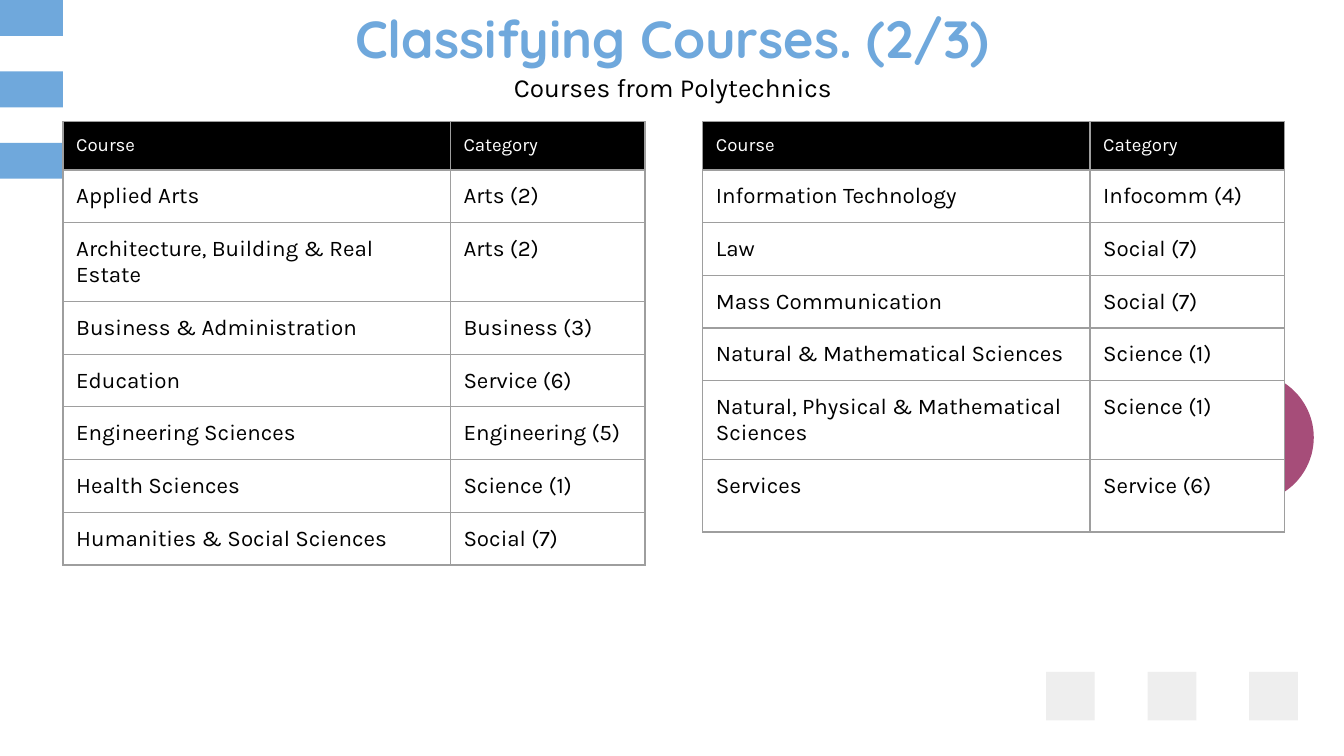
import math
from lxml import etree
from pptx import Presentation
from pptx import util as u
from pptx.dml.color import RGBColor
from pptx.enum import shapes, text
from pptx.oxml import ns

COLORS = {"blue": "6FA8DC", "plum": "A64D79", "gray": "EEEEEE",
          "line": "9E9E9E", "black": "000000", "white": "FFFFFF"}


def write(frame, content, size=12, font="Karla", color="black", bold=False, align=None):
    paragraph = frame.paragraphs[0]
    paragraph.alignment = align
    run = paragraph.add_run()
    run.text = content
    run.font.size = u.Pt(size)
    run.font.name = font
    run.font.bold = bold
    run.font.color.rgb = RGBColor.from_string(COLORS[color])


def paint(shape, color):
    shape.fill.solid()
    shape.fill.fore_color.rgb = RGBColor.from_string(COLORS[color])
    shape.line.fill.background()
    shape.shadow.inherit = False


prs = Presentation()
prs.slide_width, prs.slide_height = u.Cm(25.4), u.Cm(14.29)
slide = prs.slides.add_slide(prs.slide_layouts[5])

for i in range(3):
    square = slide.shapes.add_shape(shapes.MSO_SHAPE.RECTANGLE, u.Cm(19.77 + 1.92 * i),
                                    u.Cm(12.7), u.Cm(0.92), u.Cm(0.92))
    paint(square, "gray")
    stripe = slide.shapes.add_shape(shapes.MSO_SHAPE.RECTANGLE, 0, u.Cm(1.35 * i),
                                    u.Cm(1.19), u.Cm(0.68))
    paint(stripe, "blue")

center_x, center_y, radius = 23.6, 8.27, 1.23
arc = [(u.Cm(center_x + radius * math.cos(math.radians(angle))),
        u.Cm(center_y + radius * math.sin(math.radians(angle))))
       for angle in range(-90, 91, 3)]
outline = slide.shapes.build_freeform(*arc[0])
outline.add_line_segments(arc[1:], close=True)
half_circle = outline.convert_to_shape()
paint(half_circle, "plum")

title = slide.shapes.title
title.left, title.top, title.width, title.height = u.Cm(1.98), u.Cm(0.33), u.Cm(21.44), u.Cm(0.76)
subtitle = slide.shapes.add_textbox(u.Cm(8.95), u.Cm(1.1), u.Cm(7.54), u.Cm(1.12))
for part in (title, subtitle):
    frame = part.text_frame
    frame.word_wrap = True
    frame.auto_size = text.MSO_AUTO_SIZE.NONE
    frame.margin_left = frame.margin_right = u.Cm(0.25)
    frame.margin_top = frame.margin_bottom = u.Cm(0.25)
title.text_frame.vertical_anchor = text.MSO_ANCHOR.MIDDLE
write(title.text_frame, "Classifying Courses. (2/3)", size=28, font="Quicksand",
      color="blue", bold=True, align=text.PP_ALIGN.CENTER)
write(subtitle.text_frame, "Courses from Polytechnics", size=14, align=text.PP_ALIGN.CENTER)

header = ("Course", "Category")
courses_a_to_h = [
    header,
    ("Applied Arts", "Arts (2)"),
    ("Architecture, Building & Real Estate", "Arts (2)"),
    ("Business & Administration", "Business (3)"),
    ("Education", "Service (6)"),
    ("Engineering Sciences", "Engineering (5)"),
    ("Health Sciences", "Science (1)"),
    ("Humanities & Social Sciences", "Social (7)"),
]
courses_i_to_s = [
    header,
    ("Information Technology", "Infocomm (4)"),
    ("Law", "Social (7)"),
    ("Mass Communication", "Social (7)"),
    ("Natural & Mathematical Sciences", "Science (1)"),
    ("Natural, Physical & Mathematical Sciences", "Science (1)"),
    ("Services", "Service (6)"),
]

for left, courses, last_height in ((1.19, courses_a_to_h, 0.91), (13.28, courses_i_to_s, 1.37)):
    table = slide.shapes.add_table(len(courses), 2, u.Cm(left), u.Cm(2.3),
                                   u.Cm(11), u.Cm(0.91 * len(courses))).table
    table.first_row = table.horz_banding = False
    table.columns[0].width, table.columns[1].width = u.Cm(7.32), u.Cm(3.68)
    for r, course in enumerate(courses):
        table.rows[r].height = u.Cm(0.91)
        for c, content in enumerate(course):
            cell = table.cell(r, c)
            cell.margin_left = cell.margin_right = u.Cm(0.25)
            cell.margin_top = cell.margin_bottom = u.Cm(0.25)
            props = cell._tc.get_or_add_tcPr()
            for side in ("lnL", "lnR", "lnT", "lnB"):
                border = etree.SubElement(props, ns.qn("a:" + side), w=str(u.Pt(0.75)))
                solid = etree.SubElement(border, ns.qn("a:solidFill"))
                etree.SubElement(solid, ns.qn("a:srgbClr"), val=COLORS["line"])
            cell.fill.solid()
            cell.fill.fore_color.rgb = RGBColor.from_string(COLORS["white" if r else "black"])
            write(cell.text_frame, content, size=12 if r else 10, color="black" if r else "white")
    table.rows[len(courses) - 1].height = u.Cm(last_height)

prs.save("out.pptx")
